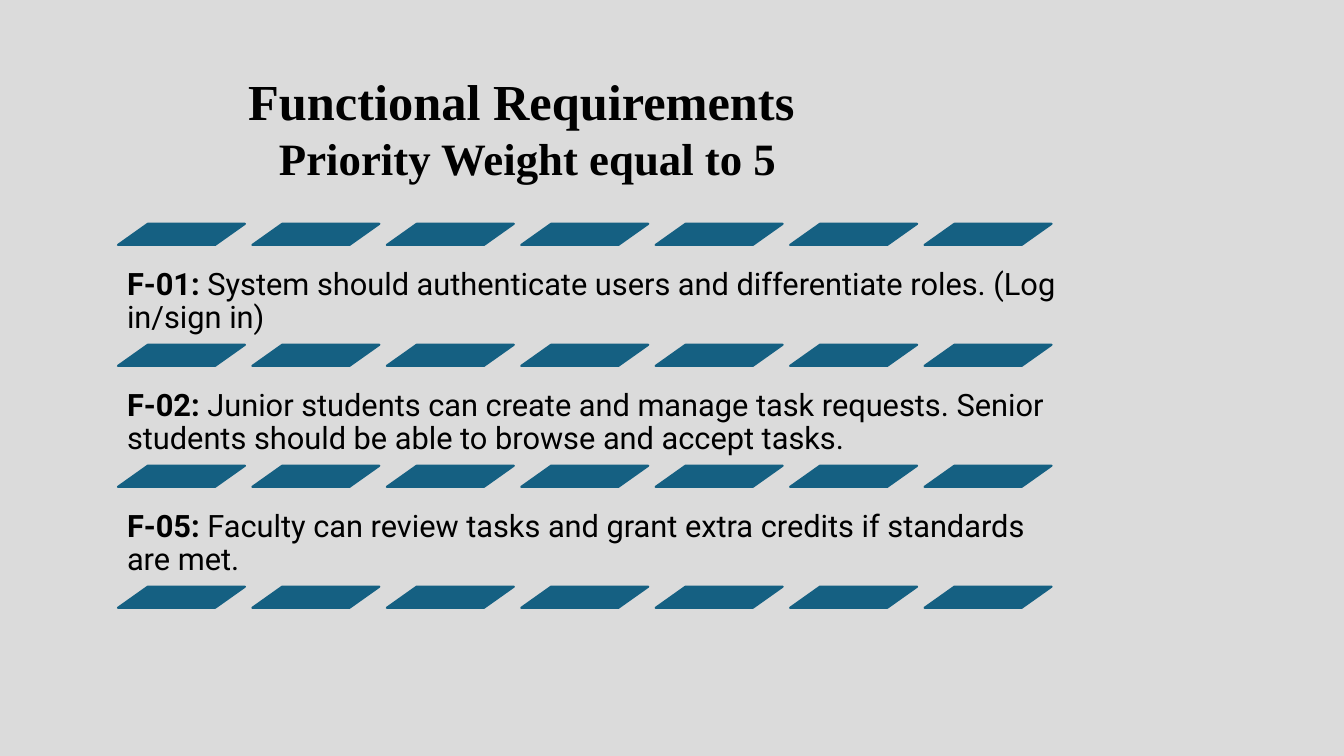
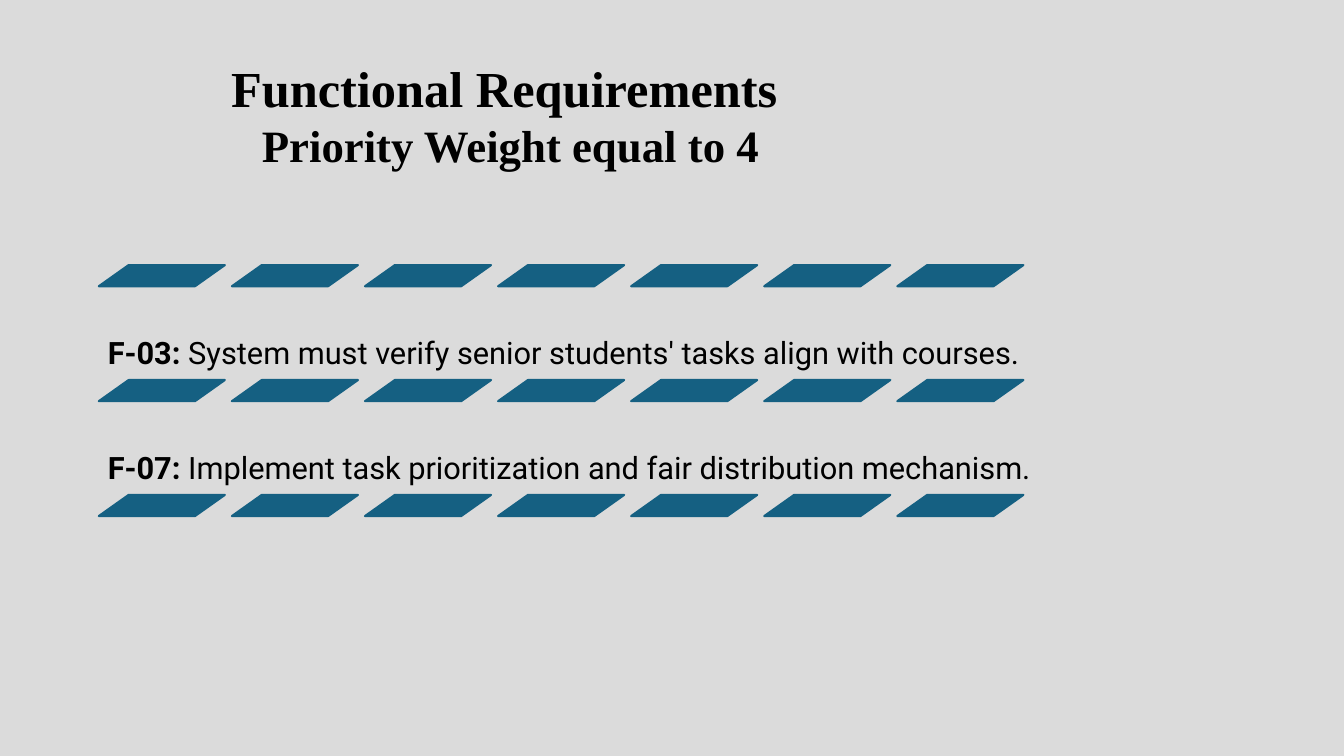
from pptx import Presentation
from pptx.dml.color import RGBColor
from pptx.enum.shapes import MSO_SHAPE
from pptx.enum.text import MSO_ANCHOR, MSO_AUTO_SIZE, PP_ALIGN
from pptx.util import Inches, Pt

BACKGROUND = "DBDBDB"
ACCENT = "156082"
INK = "000000"
TITLE_FONT = "Times New Roman"
BODY_FONT = "Roboto"
DASHES = 7
BAND_HEIGHT = 0.21
ITEM_HEIGHT = 0.86

SLIDES = [
    {
        "title_at": (1.76, 0.65),
        "weight": 5,
        "list": {"left": 1.17, "top": 2.22, "span": 9.26, "dash": 1.26, "step": 1.2},
        "items": [
            ("F-01:", "System should authenticate users and differentiate roles. (Log in/sign in)"),
            ("F-02:", "Junior students can create and manage task requests. "
                      "Senior students should be able to browse and accept tasks."),
            ("F-05:", "Faculty can review tasks and grant extra credits if standards are met."),
        ],
    },
    {
        "title_at": (1.59, 0.52),
        "weight": 4,
        "list": {"left": 0.98, "top": 2.63, "span": 9.17, "dash": 1.25, "step": 1.14},
        "items": [
            ("F-03:", "System must verify senior students' tasks align with courses."),
            ("F-07:", "Implement task prioritization and fair distribution mechanism."),
        ],
    },
]


def paint(fill, color):
    fill.solid()
    fill.fore_color.rgb = RGBColor.from_string(color)


def add_run(p, text, size=22, font=BODY_FONT, color=INK, bold=False):
    r = p.add_run()
    r.text = text
    r.font.size = Pt(size)
    r.font.name = font
    r.font.bold = bold
    r.font.color.rgb = RGBColor.from_string(color)


def set_title(s, left, top, lines):
    sp = s.shapes.title
    sp.left, sp.top, sp.width, sp.height = map(Inches, (left, top, 6.95, 1.72))
    tf = sp.text_frame
    tf.auto_size = MSO_AUTO_SIZE.NONE
    tf.vertical_anchor = MSO_ANCHOR.TOP
    for i, (text, size) in enumerate(lines):
        p = tf.add_paragraph() if i else tf.paragraphs[0]
        p.alignment = PP_ALIGN.CENTER
        add_run(p, text, size=size, font=TITLE_FONT, bold=True)


def add_band(shapes, left, top, span, dash):
    pitch = (span - dash) / (DASHES - 1)
    for i in range(DASHES):
        sp = shapes.add_shape(MSO_SHAPE.PARALLELOGRAM, Inches(left + i * pitch),
                              Inches(top), Inches(dash), Inches(BAND_HEIGHT))
        sp.adjustments[0] = 1.41
        sp.shadow.inherit = False
        paint(sp.fill, ACCENT)
        paint(sp.line.fill, ACCENT)
        sp.line.width = Pt(1.5)


def add_item(shapes, left, bottom, width, code, text):
    sp = shapes.add_textbox(Inches(left), Inches(bottom - ITEM_HEIGHT),
                            Inches(width), Inches(ITEM_HEIGHT))
    tf = sp.text_frame
    tf.word_wrap = True
    tf.vertical_anchor = MSO_ANCHOR.BOTTOM
    tf.margin_left = tf.margin_right = tf.margin_top = tf.margin_bottom = Inches(0.09)
    p = tf.paragraphs[0]
    p.line_spacing = 0.9
    add_run(p, code, bold=True)
    add_run(p, " " + text)


def add_requirements(s, items, left, top, span, dash, step):
    shapes = s.shapes.add_group_shape().shapes
    add_band(shapes, left, top, span, dash)
    for i, (code, text) in enumerate(items, 1):
        band_top = top + i * step
        add_item(shapes, left, band_top, span + 0.2, code, text)
        add_band(shapes, left, band_top, span, dash)


def main():
    prs = Presentation()
    prs.slide_width, prs.slide_height = Inches(13.33), Inches(7.5)
    paint(prs.slide_master.background.fill, BACKGROUND)
    for content in SLIDES:
        s = prs.slides.add_slide(prs.slide_layouts[5])
        set_title(s, *content["title_at"], [
            ("Functional Requirements ", 36),
            (f"Priority Weight equal to {content['weight']}", 32),
        ])
        add_requirements(s, content["items"], **content["list"])
    prs.save("out.pptx")


if __name__ == "__main__":
    main()
